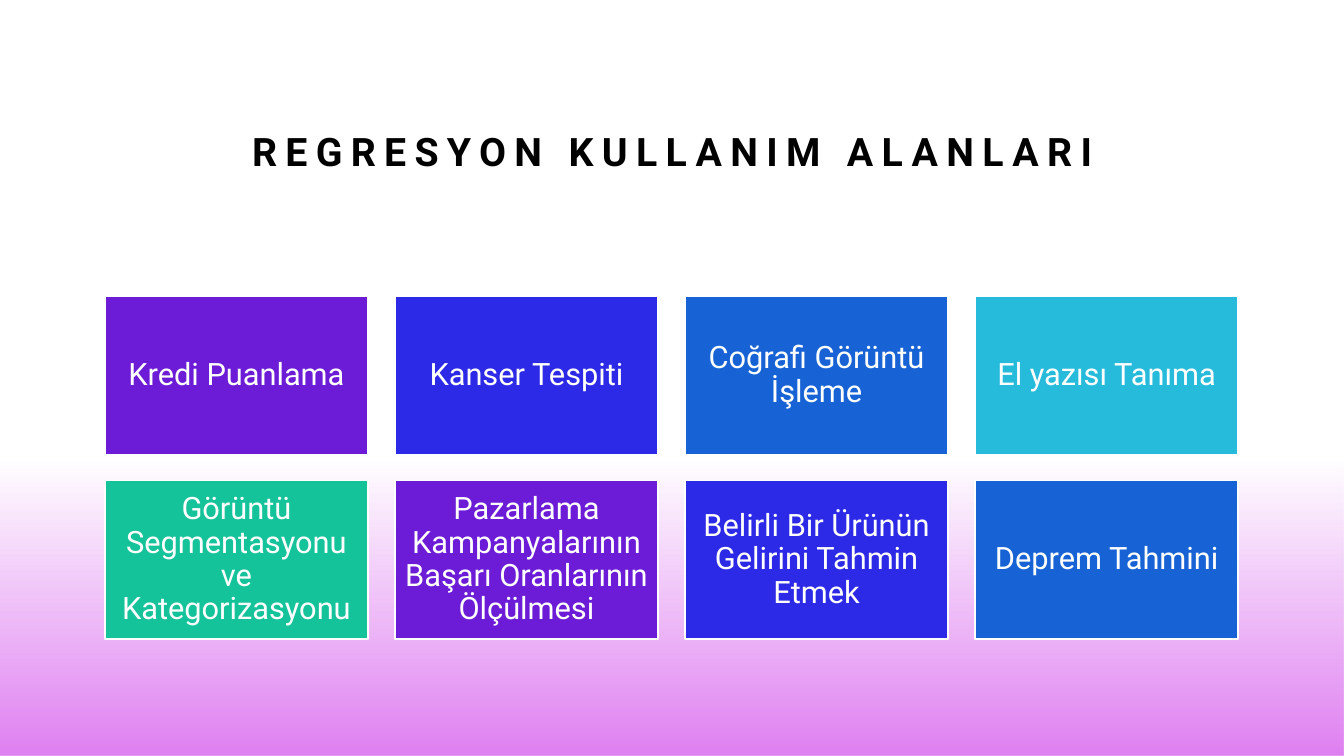
from pptx import Presentation
from pptx.dml.color import RGBColor
from pptx.enum.shapes import MSO_SHAPE
from pptx.enum.text import MSO_ANCHOR, PP_ALIGN
from pptx.oxml.ns import qn
from pptx.oxml.xmlchemy import OxmlElement
from pptx.util import Inches, Pt

THEME = {
    "font": "Roboto",
    "title_size": Pt(28),
    "card_size": Pt(22),
    "black": RGBColor.from_string("000000"),
    "white": RGBColor.from_string("FFFFFF"),
    "glow": RGBColor.from_string("DF7FF1"),
    "cards": [
        RGBColor.from_string(color)
        for color in ("6C1CD6", "2C29E7", "1763D5", "27BBDB", "15C39A")
    ],
}

USES = [
    "Kredi Puanlama",
    "Kanser Tespiti",
    "Coğrafi Görüntü İşleme",
    "El yazısı Tanıma",
    "Görüntü Segmentasyonu ve Kategorizasyonu",
    "Pazarlama Kampanyalarının Başarı Oranlarının Ölçülmesi",
    "Belirli Bir Ürünün Gelirini Tahmin Etmek",
    "Deprem Tahmini",
]
COLUMNS = 4
LEFT, TOP = 1.04, 2.94
CARD_WIDTH, CARD_HEIGHT = 2.61, 1.57
COLUMN_STEP, ROW_STEP = 2.877, 1.83


def write_text(shape, text, frame_format, line_spacing, font_format):
    frame = shape.text_frame
    for name, value in frame_format.items():
        setattr(frame, name, value)
    paragraph = frame.paragraphs[0]
    paragraph.alignment = PP_ALIGN.CENTER
    paragraph.line_spacing = line_spacing
    run = paragraph.add_run()
    run.text = text
    run.font.color.rgb = font_format["color"]
    for name in ("name", "size", "bold"):
        setattr(run.font, name, font_format[name])
    return run


presentation = Presentation()
presentation.slide_width = Inches(13.33)
presentation.slide_height = Inches(7.5)
slide = presentation.slides.add_slide(presentation.slide_layouts[6])
slide.background.fill.solid()
slide.background.fill.fore_color.rgb = THEME["white"]

glow = slide.shapes.add_shape(
    MSO_SHAPE.RECTANGLE, Inches(0), Inches(4.09), Inches(13.33), Inches(3.41)
)
glow.shadow.inherit = False
glow.line.fill.background()
glow.fill.gradient()
glow.fill.gradient_angle = 270
for stop, position in zip(glow.fill.gradient_stops, (0.14, 1)):
    stop.position = position
    stop.color.rgb = THEME["glow"]
alpha = OxmlElement("a:alpha")
alpha.set("val", "0")
next(glow.element.iter(qn("a:srgbClr"))).append(alpha)

title = slide.shapes.add_textbox(Inches(1.67), Inches(0.83), Inches(10), Inches(0.95))
title_run = write_text(
    title,
    "REGRESYON KULLANIM ALANLARI",
    {"word_wrap": True, "vertical_anchor": MSO_ANCHOR.BOTTOM},
    1.2,
    {
        "name": THEME["font"],
        "size": THEME["title_size"],
        "bold": True,
        "color": THEME["black"],
    },
)
title_run.font._element.set("spc", "600")

card_frame = {"word_wrap": True, "vertical_anchor": MSO_ANCHOR.MIDDLE}
for side in ("left", "top", "right", "bottom"):
    card_frame[f"margin_{side}"] = Inches(0.09)
card_font = {
    "name": THEME["font"],
    "size": THEME["card_size"],
    "bold": False,
    "color": THEME["white"],
}

for index, use in enumerate(USES):
    row, column = divmod(index, COLUMNS)
    card = slide.shapes.add_shape(
        MSO_SHAPE.RECTANGLE,
        Inches(LEFT + column * COLUMN_STEP),
        Inches(TOP + row * ROW_STEP),
        Inches(CARD_WIDTH),
        Inches(CARD_HEIGHT),
    )
    card.shadow.inherit = False
    card.fill.solid()
    card.fill.fore_color.rgb = THEME["cards"][index % len(THEME["cards"])]
    card.line.color.rgb = THEME["white"]
    card.line.width = Pt(1)
    write_text(card, use, card_frame, 0.9, card_font)

presentation.save("out.pptx")
